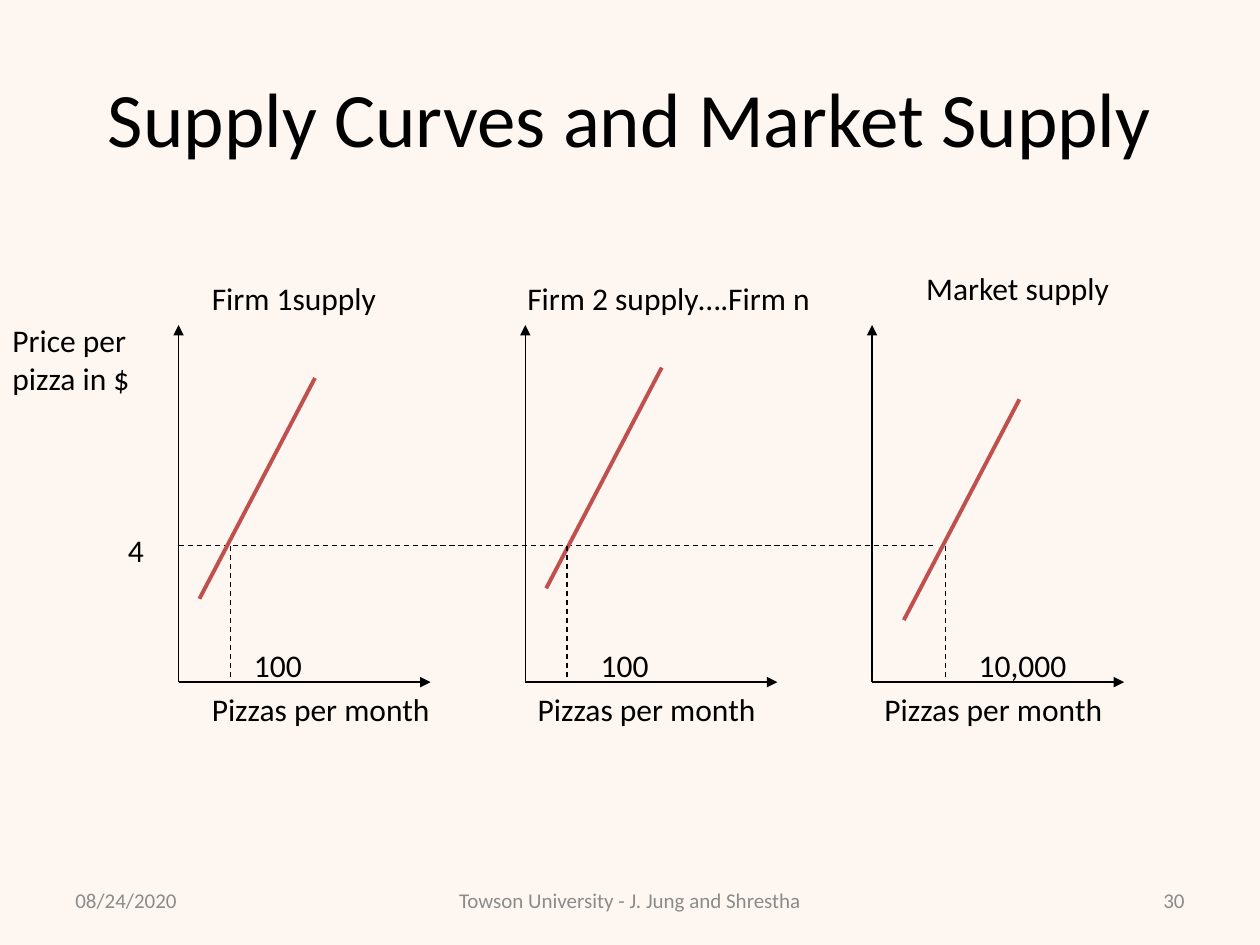
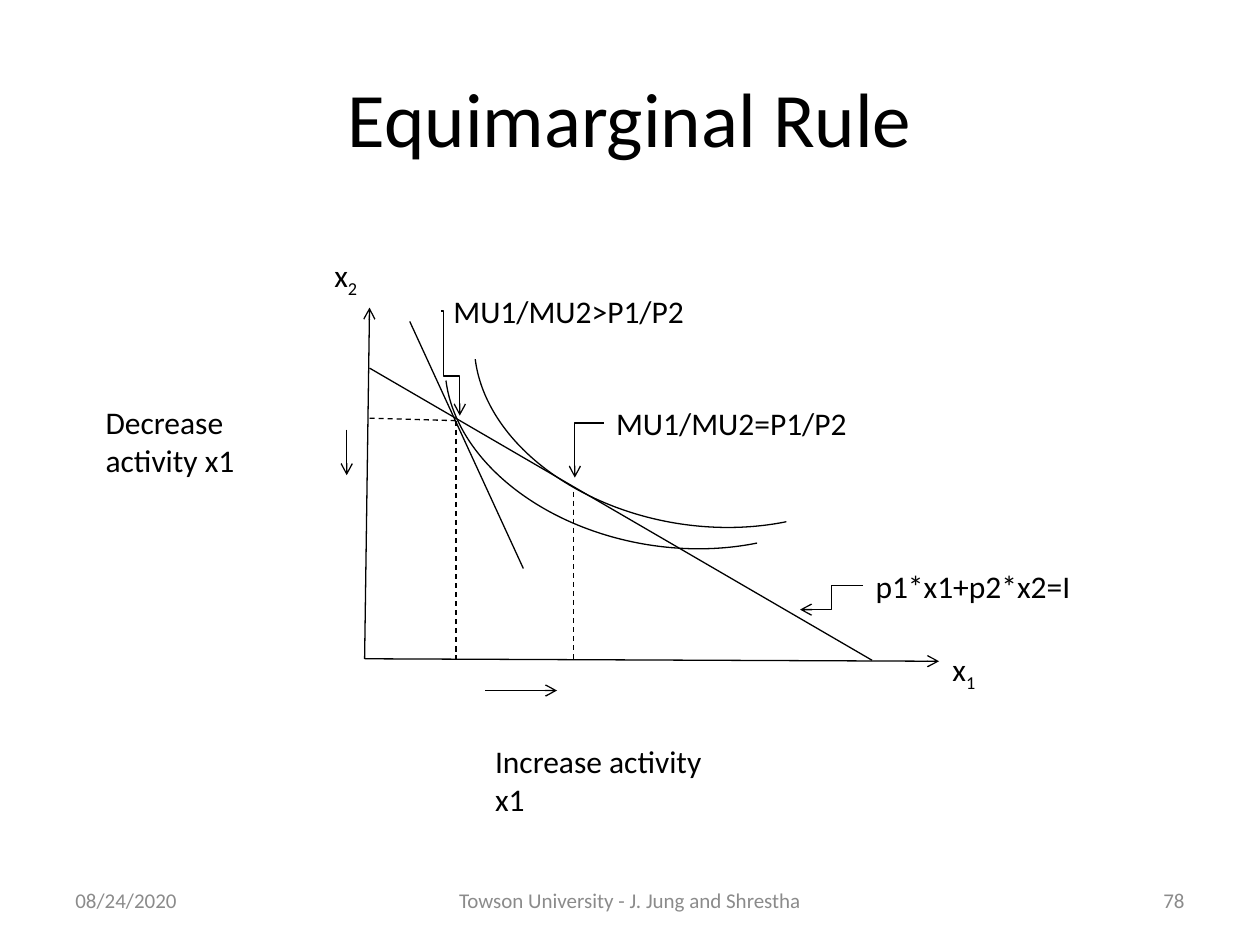
import pptx
import pptx.util
import pptx.dml.color
import pptx.enum.dml
import pptx.enum.shapes
import pptx.enum.text
import pptx.oxml.ns
import lxml.etree

Cm = pptx.util.Cm
qn = pptx.oxml.ns.qn
ALIGN = pptx.enum.text.PP_ALIGN
ANCHOR = pptx.enum.text.MSO_ANCHOR
CONNECTOR = pptx.enum.shapes.MSO_CONNECTOR

COLORS = {
    "ink": "000000",
    "footer": "8B8B8B",
    "supply": "C0504D",
    "cream": "FEF7F1",
    "white": "FFFFFF",
}
FONT = "Calibri"
THIN = 0.75

FIRMS = [
    {"title": "Firm 1supply", "title_at": (0.42, -1.05), "caption_x": 0.42,
     "curve_at": (0.42, 5.52), "sold": "100", "sold_x": 1.05, "sold_label_x": 1.27},
    {"title": "Firm 2 supply….Firm n", "title_at": (-0.21, -1.05), "caption_x": 0,
     "curve_at": (0.42, 5.31), "sold": "100", "sold_x": 0.84, "sold_label_x": 1.27},
    {"title": "Market supply", "title_at": (0.84, -1.26), "caption_x": 0,
     "curve_at": (0.64, 5.95), "sold": "10,000", "sold_x": 1.48, "sold_label_x": 1.9},
]


def rgb(name):
    return pptx.dml.color.RGBColor.from_string(COLORS[name])


def add_text(page, box, text, size=18, color="ink", align=ALIGN.LEFT,
             anchor=ANCHOR.TOP, subscript=""):
    shape = page.shapes.add_textbox(*(Cm(length) for length in box))
    frame = shape.text_frame
    frame.word_wrap = True
    frame.vertical_anchor = anchor
    para = frame.paragraphs[0]
    para.alignment = align
    for content in filter(None, (text, subscript)):
        span = para.add_run()
        span.text = content
        span.font.name = FONT
        span.font.size = pptx.util.Pt(size)
        span.font.color.rgb = rgb(color)
    if subscript:
        span.font._element.set("baseline", "-25000")


def add_line(page, origin, start, end, color="ink", width=THIN, dashed=False,
             arrow=None, kind=CONNECTOR.STRAIGHT):
    left, top = origin
    connector = page.shapes.add_connector(
        kind, Cm(left + start[0]), Cm(top + start[1]),
        Cm(left + end[0]), Cm(top + end[1]))
    connector.line.color.rgb = rgb(color)
    connector.line.width = pptx.util.Pt(width)
    if dashed:
        connector.line.dash_style = pptx.enum.dml.MSO_LINE.DASH
    properties = connector._element.spPr
    if arrow:
        lxml.etree.SubElement(properties.find(qn("a:ln")), qn("a:tailEnd"), type=arrow)
    lxml.etree.SubElement(properties, qn("a:effectLst"))
    return connector


def add_elbow(page, origin, start, end, preset, bends=()):
    connector = add_line(page, origin, start, end, arrow="arrow", kind=CONNECTOR.ELBOW)
    geometry = connector._element.spPr.find(qn("a:prstGeom"))
    geometry.set("prst", preset)
    guides = geometry.find(qn("a:avLst"))
    for number, bend in enumerate(bends, 1):
        lxml.etree.SubElement(guides, qn("a:gd"), name=f"adj{number}",
                              fmla=f"val {round(bend * 100000)}")


def add_indifference_curve(page, left, top):
    arc = page.shapes.add_shape(pptx.enum.shapes.MSO_SHAPE.ARC,
                                Cm(left), Cm(top), Cm(9.25), Cm(6.55))
    arc.adjustments[0] = 139.61
    arc.adjustments[1] = 210.92
    arc.rotation = 189.4
    arc.shadow.inherit = False
    arc.fill.background()
    arc.line.color.rgb = rgb("ink")
    arc.line.width = pptx.util.Pt(THIN)


def add_page(deck, title, number, background):
    page = deck.slides.add_slide(deck.slide_layouts[6])
    page.background.fill.solid()
    page.background.fill.fore_color.rgb = rgb(background)
    add_text(page, (1.27, 0.76, 22.86, 3.18), title, size=44,
             align=ALIGN.CENTER, anchor=ANCHOR.MIDDLE)
    footers = [
        (1.27, 5.93, "08/24/2020", ALIGN.LEFT),
        (8.68, 8.04, "Towson University - J. Jung and Shrestha", ALIGN.CENTER),
        (18.2, 5.93, number, ALIGN.RIGHT),
    ]
    for left, width, text, align in footers:
        add_text(page, (left, 17.65, width, 1.01), text, size=12, color="footer",
                 align=align, anchor=ANCHOR.MIDDLE)
    return page


def add_supply_panel(page, box, firm, price_y):
    left, top, width, height = box
    origin = (left, top)
    corner = (0, height)
    for tip in ((0, 0), (width, height)):
        add_line(page, origin, corner, tip, arrow="triangle")
    x, y = firm["curve_at"]
    add_line(page, origin, (x, y), (x + 2.33, y - 4.45), color="supply", width=2.25)
    add_line(page, origin, (firm["sold_x"], price_y), (firm["sold_x"], height), dashed=True)
    labels = [
        (firm["title"], firm["title_at"], 8),
        (firm["sold"], (firm["sold_label_x"], height - 0.86), 2.54),
        ("Pizzas per month", (firm["caption_x"], height + 0.03), 6.6),
    ]
    for text, (x, y), label_width in labels:
        add_text(page, (left + x, top + y, label_width, 1.02), text)


def add_supply_page(deck):
    page = add_page(deck, "Supply Curves and Market Supply", "30", "cream")
    left, top, pitch, price_y = 3.6, 6.55, 6.99, 4.45
    add_line(page, (left, top), (0, price_y), (15.24, price_y), dashed=True)
    for index, firm in enumerate(FIRMS):
        add_supply_panel(page, (left + index * pitch, top, 5.08, 7.2), firm, price_y)
    add_text(page, (0, 6.35, 3.39, 2.54), "Price per pizza in $")
    add_text(page, (2.33, 10.58, 1.48, 1.02), "4")


def add_choice_diagram(page, box):
    left, top, width, height = box
    origin = (left, top)
    for start, end in [
        ((0, height), (0.1, 0)),
        ((0, height), (width, height + 0.05)),
        ((2.43, 7.72), (3.88, 7.72)),
        ((-0.36, 2.46), (-0.36, 3.38)),
    ]:
        add_line(page, origin, start, end, arrow="arrow")
    for x, y in [(2.18, -2.16), (1.59, -1.73)]:
        add_indifference_curve(page, left + x, top + y)
    add_line(page, origin, (0.1, 1.22), (10.23, 7.11))
    add_line(page, origin, (0.91, 0.28), (3.2, 5.26))
    for start, end in [
        ((1.84, 2.28), (1.84, height)),
        ((4.21, 3.71), (4.21, height)),
        ((1.84, 2.28), (0.1, 2.23)),
    ]:
        add_line(page, origin, start, end, dashed=True)
    add_elbow(page, origin, (10.05, 5.61), (8.78, 6.09), "bentConnector3", (0.5,))
    add_elbow(page, origin, (4.82, 2.33), (4.24, 3.43), "bentConnector2")
    add_elbow(page, origin, (1.54, 0.07), (1.92, 2.18), "bentConnector4", (0.12, 0.62))
    for text, subscript, x, y, label_width in [
        ("x", "1", 11.6, 6.78, 1.47),
        ("x", "2", -0.86, -1.17, 1.47),
        ("p1*x1+p2*x2=I", "", 10.05, 5.1, 5.69),
        ("MU1/MU2=P1/P2", "", 4.82, 1.83, 6.22),
        ("MU1/MU2>P1/P2", "", 1.54, -0.43, 6.22),
        ("Increase activity x1", "", 2.38, 8.63, 4.67),
        ("Decrease activity x1", "", -5.47, 1.8, 4.67),
    ]:
        add_text(page, (left + x, top + y, label_width, 1.02), text, subscript=subscript)


def add_equimarginal_page(deck):
    page = add_page(deck, "Equimarginal Rule", "78", "white")
    add_choice_diagram(page, (7.35, 6.2, 11.58, 7.08))


def main():
    deck = pptx.Presentation()
    deck.slide_width = Cm(25.4)
    deck.slide_height = Cm(19.05)
    add_supply_page(deck)
    add_equimarginal_page(deck)
    deck.save("out.pptx")


if __name__ == "__main__":
    main()
